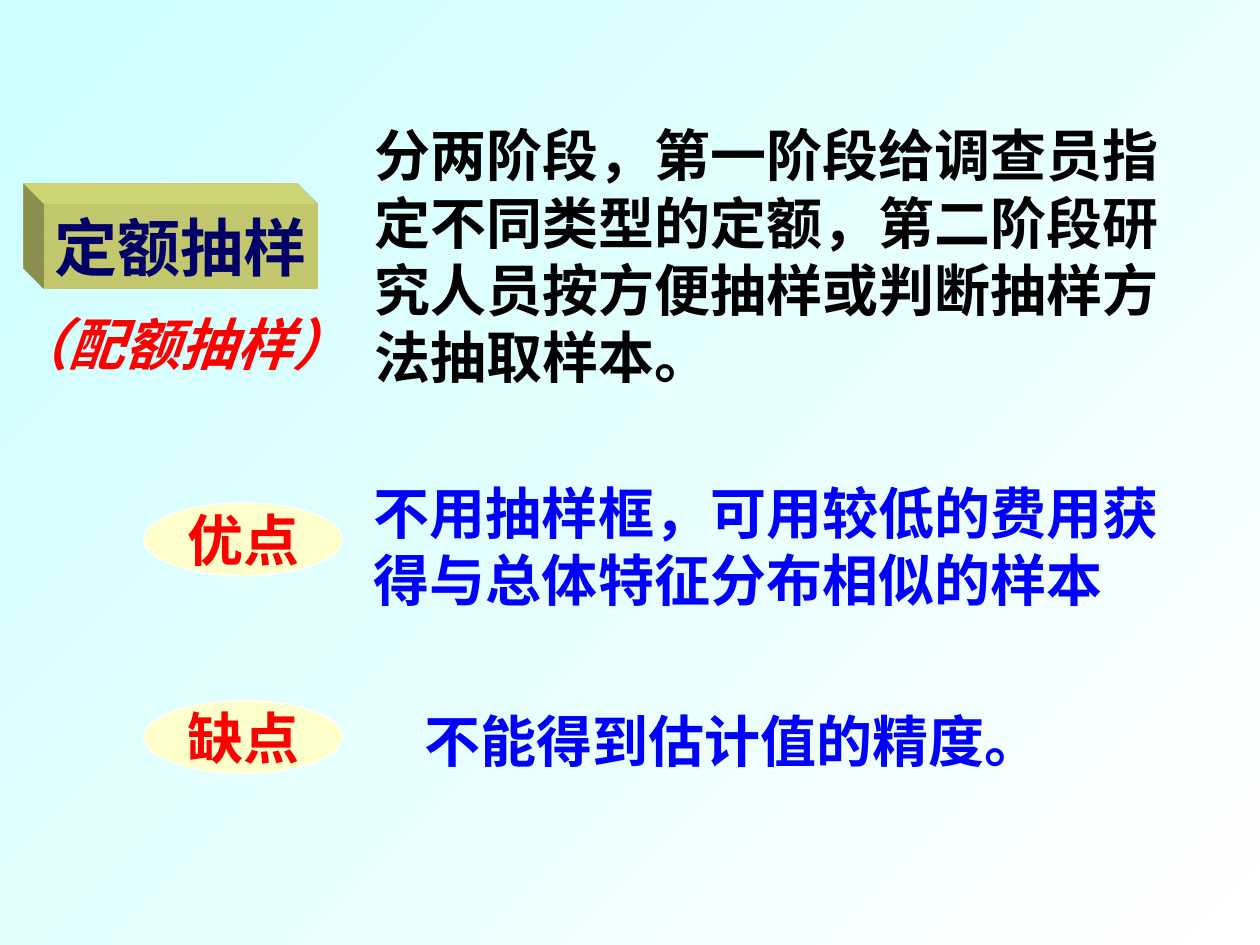
from lxml.etree import SubElement
from pptx import Presentation
from pptx.dml.color import RGBColor
from pptx.enum.shapes import MSO_SHAPE
from pptx.enum.text import MSO_ANCHOR, MSO_AUTO_SIZE, PP_ALIGN
from pptx.oxml.ns import qn
from pptx.util import Pt

PX = 9144  # EMU per px, 100 px to the inch
SANS, SERIF = "Noto Sans CJK SC", "Times New Roman"
BLACK = RGBColor(0, 0, 0)
WHITE = RGBColor(255, 255, 255)
RED = RGBColor(255, 0, 0)
BLUE = RGBColor(0, 0, 255)
NAVY = RGBColor(0, 0, 0x66)
CREAM = RGBColor(0xFF, 0xFF, 0xCC)
OLIVE = RGBColor(0xED, 0xF2, 0x84)
AQUA = RGBColor(0xCC, 0xFF, 0xFF)


def write(box, text, font, size, color, italic=False):
    box.text_frame.text = text
    para = box.text_frame.paragraphs[0]
    span = para.runs[0]
    span.font.name = font
    span.font.size = Pt(size)
    span.font.bold = True
    span.font.italic = italic or None
    span.font.color.rgb = color
    SubElement(span.font._element, qn("a:ea"), typeface=SANS)
    return para


def add_label(kind, place, text, size, color, fill):
    label = page.shapes.add_shape(kind, *[n * PX for n in place])
    label.shadow.inherit = False
    label.fill.solid()
    label.fill.fore_color.rgb = fill
    label.text_frame.word_wrap = False
    label.text_frame.vertical_anchor = MSO_ANCHOR.MIDDLE
    write(label, text, SERIF, size, color).alignment = PP_ALIGN.CENTER
    return label


deck = Presentation()
deck.slide_width, deck.slide_height = 1000 * PX, 750 * PX
page = deck.slides.add_slide(deck.slide_layouts[6])

# Background, from top left to bottom right
backdrop = page.background.fill
backdrop.gradient()
backdrop.gradient_angle = 315
for stop, color, position in zip(backdrop.gradient_stops, (AQUA, WHITE), (0, 1)):
    stop.color.rgb = color
    stop.position = position

# Definition, advantage, drawback and the alternative name
texts = [
    ((287, 91, 681, 223), "分两阶段，第一阶段给调查员指定不同类型的定额，第二阶段研究人员按方便抽样或判断抽样方法抽取样本。", SANS, BLACK, False),
    ((287, 375, 677, 117), "不用抽样框，可用较低的费用获得与总体特征分布相似的样本", SERIF, BLUE, False),
    ((327, 556, 575, 63), "不能得到估计值的精度。", SERIF, BLUE, False),
    ((0, 241, 310, 63), "（配额抽样）", SANS, RED, True),
]
for place, text, font, color, italic in texts:
    box = page.shapes.add_textbox(*[n * PX for n in place])
    box.text_frame.word_wrap = not italic
    box.text_frame.auto_size = MSO_AUTO_SIZE.SHAPE_TO_FIT_TEXT
    para = write(box, text, font, 32, color, italic)
    para.line_spacing = Pt(38.4)
    if italic:
        box.text_frame.vertical_anchor = MSO_ANCHOR.MIDDLE

# Oval labels
for top, text in ((399, "优点"), (556, "缺点")):
    oval = add_label(MSO_SHAPE.OVAL, (114, top, 158, 58), text, 32, RED, CREAM)
    oval.line.color.rgb = WHITE
    oval.line.width = Pt(0.75)

# Heading block, extruded towards the top left
block = add_label(MSO_SHAPE.RECTANGLE, (35, 162, 217, 67), "定额抽样", 36, NAVY, OLIVE)
block.line.fill.background()
scene = SubElement(block._element.spPr, qn("a:scene3d"))
SubElement(scene, qn("a:camera"), prst="legacyObliqueTopLeft")
SubElement(scene, qn("a:lightRig"), rig="legacyFlat3", dir="l")
solid = SubElement(block._element.spPr, qn("a:sp3d"), extrusionH="430200", prstMaterial="legacyMatte")
side = SubElement(solid, qn("a:extrusionClr"))
SubElement(side, qn("a:srgbClr"), val=str(OLIVE))

deck.save("out.pptx")
